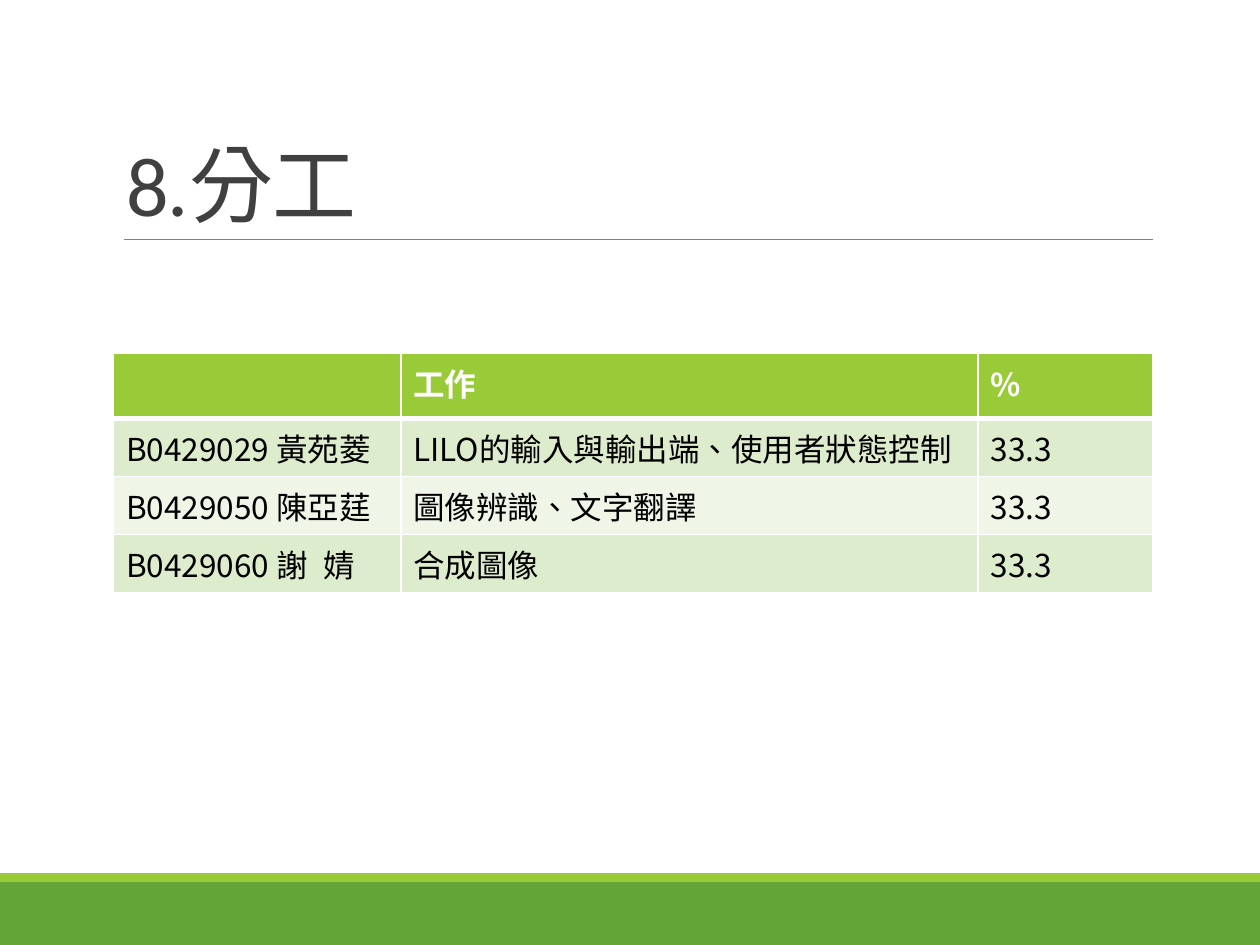
import pptx
import pptx.util
import pptx.dml.color
import pptx.enum.shapes
import pptx.enum.text
from lxml import etree
from pptx.oxml.ns import qn
from pptx.util import Cm, Pt

FONT = "Noto Sans CJK SC"
WHITE, LIME, GREEN = "FFFFFF", "99CB38", "63A537"
BANDS = ["DEECCE", "EFF6E8"]
ALIGN = pptx.enum.text.PP_ALIGN

ROWS = [
    ["", "工作", "%"],
    ["B0429029 黃苑菱", "LILO的輸入與輸出端、使用者狀態控制", "33.3"],
    ["B0429050 陳亞莛", "圖像辨識、文字翻譯", "33.3"],
    ["B0429060 謝\u2002婧", "合成圖像", "33.3"],
]


def rgb(color):
    """Turn a hex string into a colour."""
    return pptx.dml.color.RGBColor.from_string(color)


def add_text(tf, text, size=18, color="000000", bold=False, align=ALIGN.LEFT,
             font=FONT, line_spacing=None, spacing=None):
    """Write one formatted paragraph into a text frame."""
    p = tf.paragraphs[0]
    p.alignment = align
    if line_spacing:
        p.line_spacing = line_spacing
    r = p.add_run()
    r.text = text
    r.font.name, r.font.size, r.font.bold = font, Pt(size), bold
    r.font.color.rgb = rgb(color)
    rPr = r.font._element
    rPr.set("lang", "zh-TW")
    if spacing:
        rPr.set("spc", str(int(spacing * 100)))
    etree.SubElement(rPr, qn("a:ea")).set("typeface", FONT)


def add_bar(s, x, y, w, h, color):
    """Draw a plain filled bar."""
    sp = s.shapes.add_shape(pptx.enum.shapes.MSO_SHAPE.RECTANGLE, x, y, w, h)
    sp.shadow.inherit = False
    sp.fill.solid()
    sp.fill.fore_color.rgb = rgb(color)
    sp.line.fill.background()


def add_footer(s, x, y, w, h):
    """Draw the green footer with a thin lime strip on its top."""
    strip = Cm(0.18)
    add_bar(s, x, y + strip, w, h - strip, GREEN)
    add_bar(s, x, y, w, strip, LIME)


def add_title(s, x, y, w, h, text):
    """Place the title and the rule under it."""
    rule = s.shapes.add_connector(pptx.enum.shapes.MSO_CONNECTOR.STRAIGHT,
                                  x + Cm(0.2), y + h, x + w, y + h)
    rule.line.color.rgb = rgb("808080")
    rule.line.width = Pt(0.5)
    etree.SubElement(rule._element.spPr, qn("a:effectLst"))
    sp = s.shapes.title
    sp.left, sp.top, sp.width, sp.height = x, y, w, h
    tf = sp.text_frame
    tf.word_wrap = True
    tf.vertical_anchor = pptx.enum.text.MSO_ANCHOR.BOTTOM
    add_text(tf, text, size=48, color="404040", font="Calibri",
             line_spacing=0.85, spacing=-0.5)


def format_cell(cell, fill, top, bottom):
    """Give a cell white borders, then its fill."""
    tcPr = cell._tc.get_or_add_tcPr()
    for side, width in (("L", 1), ("R", 1), ("T", top), ("B", bottom)):
        ln = etree.SubElement(tcPr, qn("a:ln" + side), w=str(Pt(width)))
        solid = etree.SubElement(ln, qn("a:solidFill"))
        etree.SubElement(solid, qn("a:srgbClr"), val=WHITE)
    cell.fill.solid()
    cell.fill.fore_color.rgb = rgb(fill)


def add_work_table(s, x, y, w, h, rows):
    """Build the table of members, work and share."""
    table = s.shapes.add_table(len(rows), len(rows[0]), x, y, w, h).table
    name_w, work_w = Cm(5.79), Cm(11.64)
    for col, width in zip(table.columns, (name_w, work_w, w - name_w - work_w)):
        col.width = width
    header_h = Cm(1.31)
    for i, values in enumerate(rows):
        header = i == 0
        table.rows[i].height = header_h if header else (h - header_h) // (len(rows) - 1)
        for j, value in enumerate(values):
            cell = table.cell(i, j)
            format_cell(cell, LIME if header else BANDS[(i - 1) % 2],
                        top=3 if i == 1 else 1, bottom=3 if header else 1)
            if value:
                add_text(cell.text_frame, value, bold=header,
                         color=WHITE if header else "000000",
                         align=ALIGN.JUSTIFY if (i, j) == (1, 1) else ALIGN.LEFT)


def build():
    """Build and save the slide."""
    prs = pptx.Presentation()
    prs.slide_width, prs.slide_height = Cm(25.4), Cm(19.05)
    s = prs.slides.add_slide(prs.slide_layouts[5])
    x, w = Cm(2.29), Cm(20.95)
    footer_h = Cm(1.45)
    add_footer(s, 0, prs.slide_height - footer_h, prs.slide_width, footer_h)
    add_title(s, x, Cm(0.79), w, Cm(4.04), "8.分工")
    add_work_table(s, x, Cm(7.12), w, Cm(4.82), ROWS)
    prs.save("out.pptx")


build()
